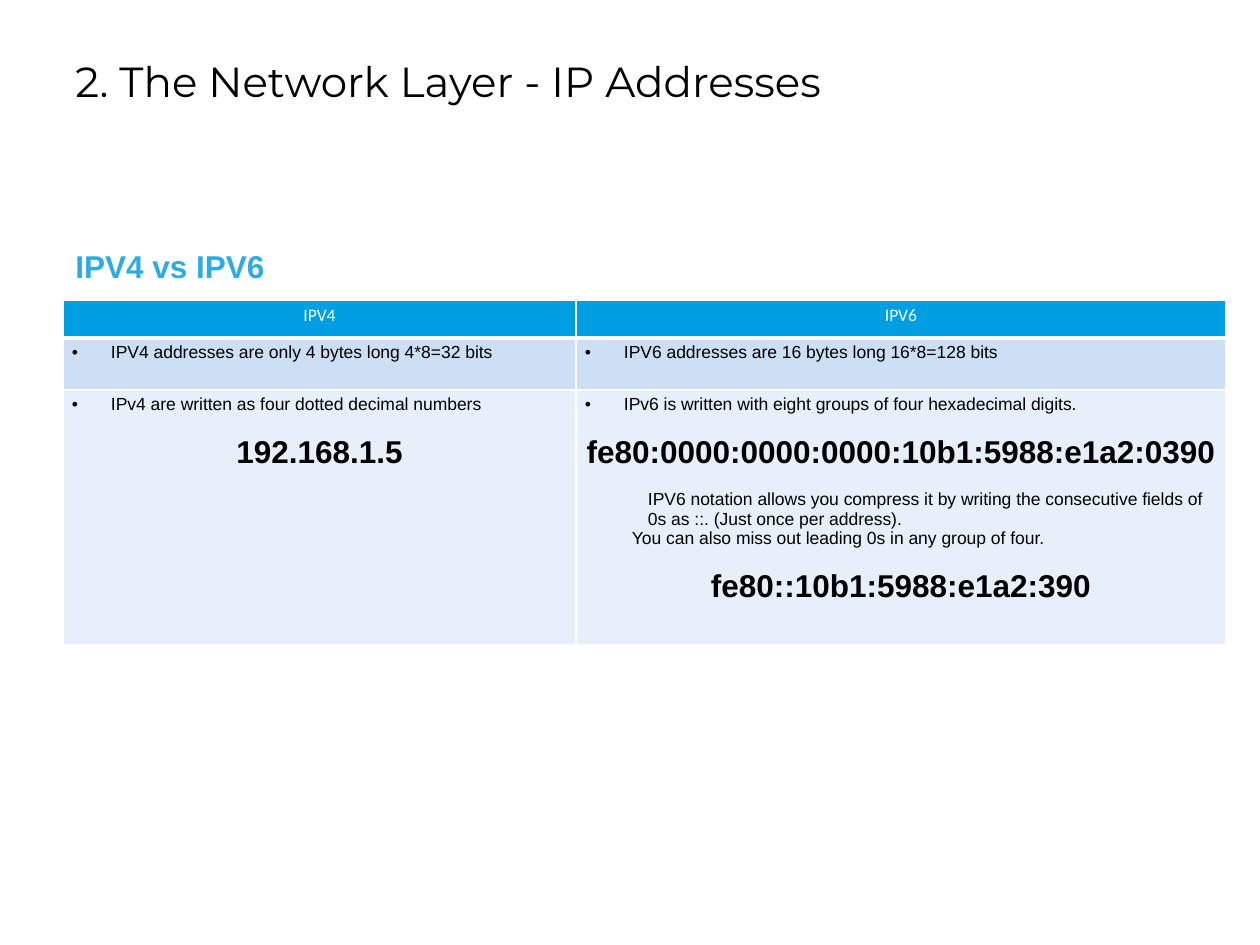
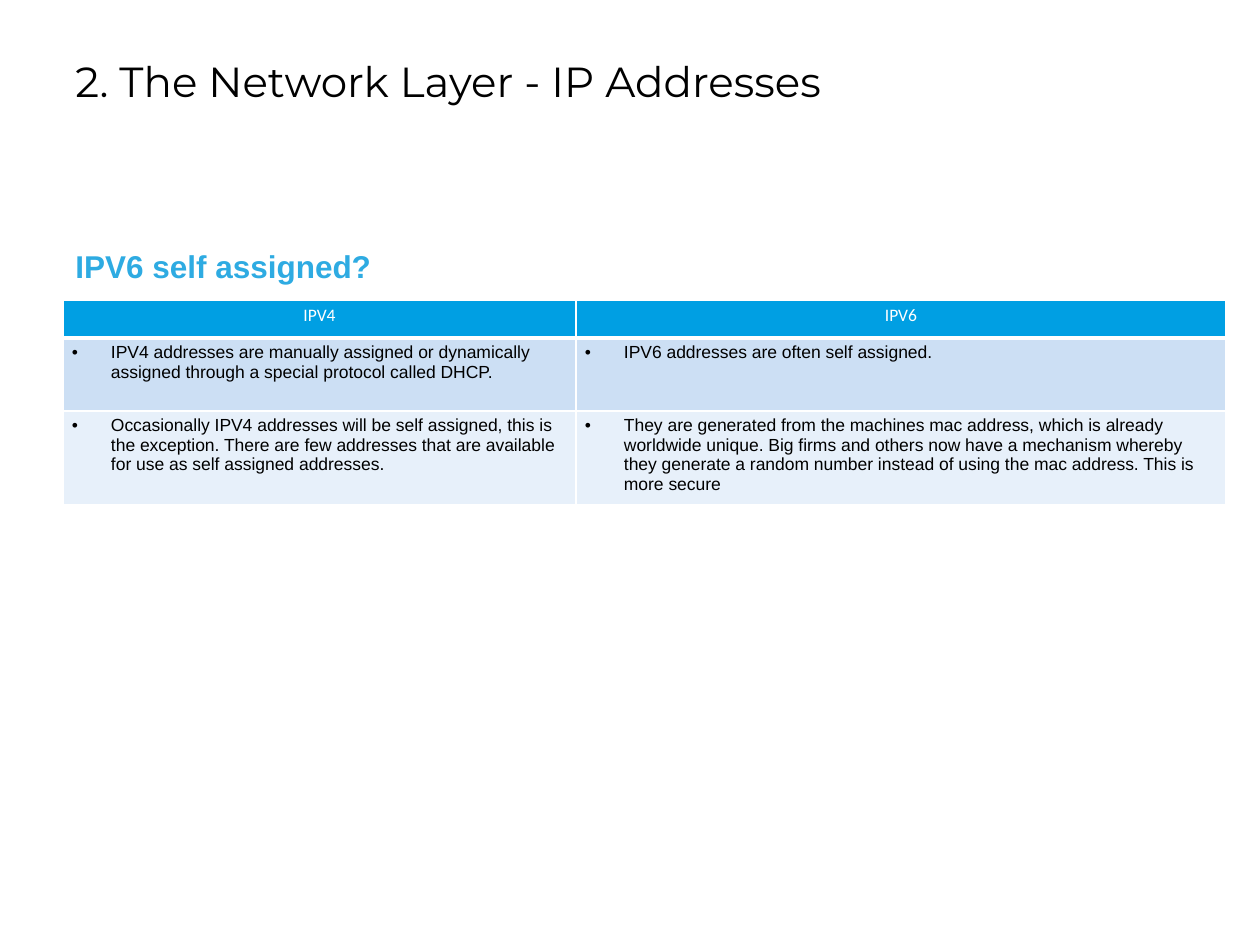
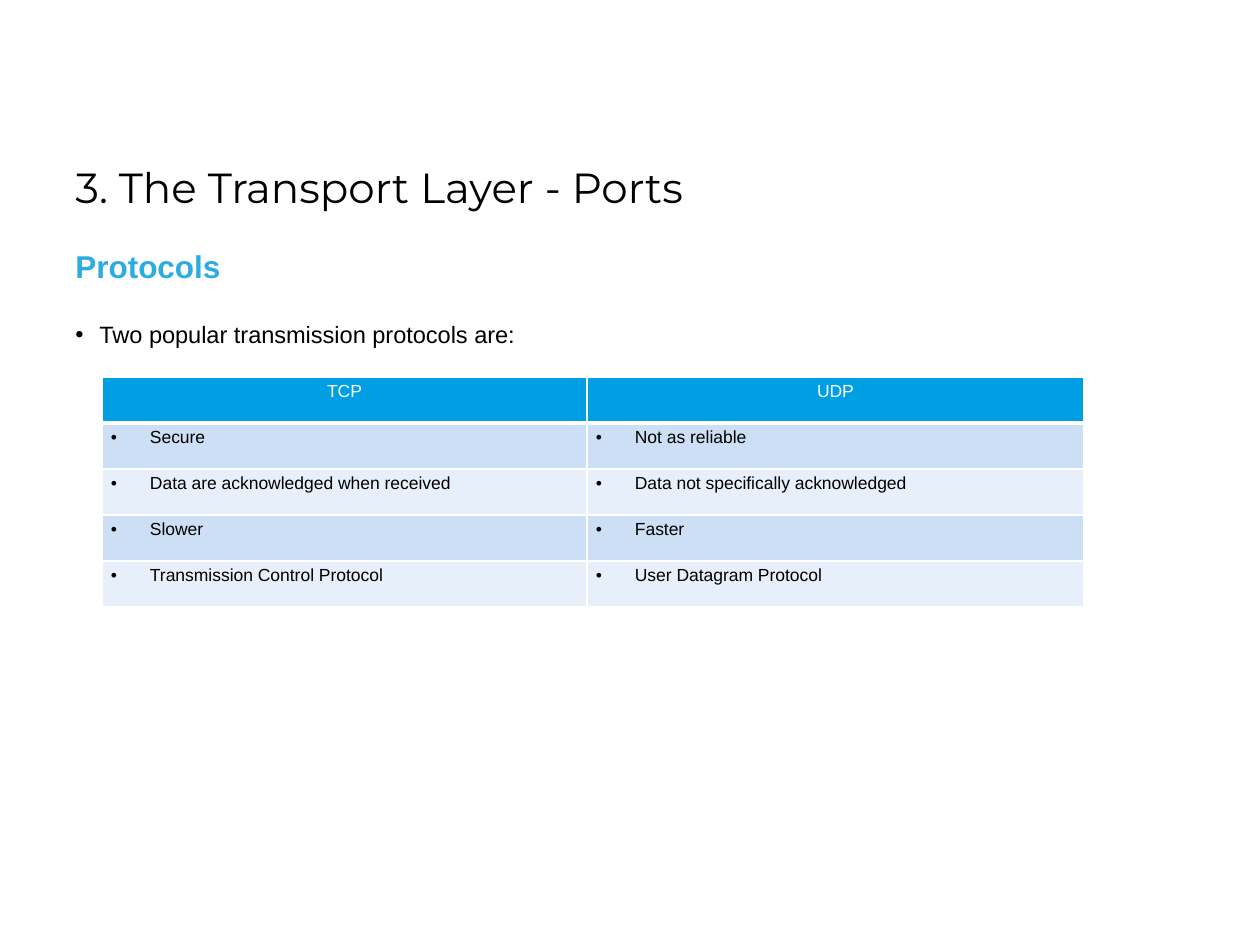
from pptx import Presentation
from pptx.dml.color import RGBColor as RGB
from pptx.enum.text import PP_ALIGN as ALIGN, MSO_AUTO_SIZE as AUTO
from pptx.oxml import parse_xml
from pptx.oxml.ns import nsdecls
from pptx.util import Pt

PX = 914400 // 126  # EMU per px

BLACK = RGB(0x00, 0x00, 0x00)
WHITE = RGB(0xFF, 0xFF, 0xFF)
HEADER_BLUE = RGB(0x00, 0x9F, 0xE3)
HEADING_BLUE = RGB(0x2E, 0xAB, 0xE2)
BANDS = [RGB(0xCC, 0xDF, 0xF4), RGB(0xE7, 0xF0, 0xFA)]

# Text styles: font attributes, paragraph attributes, left margin and indent in px
TITLE = {"font": {"name": "Montserrat", "size": Pt(24)}}
HEADING = {"font": {"name": "Arial", "size": Pt(18), "bold": True}, "color": HEADING_BLUE,
           "para": {"space_after": Pt(4.5)}}
INTRO = {"font": {"name": "Arial", "size": Pt(13.5)}, "para": {"space_after": Pt(4.5)},
         "indent": (24, -24), "bullet": "•"}
SMALL = {"name": "Arial", "size": Pt(10)}
GAP = Pt(11.5)
HEADER = {"font": SMALL, "color": WHITE, "para": {"alignment": ALIGN.CENTER}}
HEADER_IP = {**HEADER, "font": {"name": "Calibri", "size": Pt(10)}}
ITEM = {"font": SMALL, "indent": (39, -39), "bullet": "•"}
ADDRESS = {"font": {"name": "Arial", "size": Pt(18), "bold": True},
           "para": {"alignment": ALIGN.CENTER, "space_before": GAP}}
NOTE = {"font": SMALL, "indent": (63, 0), "para": {"space_before": GAP}}
NOTE_NEXT = {"font": SMALL, "indent": (47, 0)}

IP_TITLE = "2. The Network Layer - IP Addresses"
IP_TABLE = {"left": 63, "top": 300, "cols": [513, 650], "header": HEADER_IP}

SLIDES = [
    {
        "title": IP_TITLE, "title_top": 49, "heading": "IPV4 vs IPV6",
        "table": {**IP_TABLE, "rows": [38, 52, 255]},
        "cells": [
            ["IPV4", "IPV6"],
            ["IPV4 addresses are only 4 bytes long 4*8=32 bits",
             "IPV6 addresses are 16 bytes long 16*8=128 bits"],
            [[("IPv4 are written as four dotted decimal numbers", ITEM),
              ("192.168.1.5", ADDRESS)],
             [("IPv6 is written with eight groups of four hexadecimal digits.", ITEM),
              ("fe80:0000:0000:0000:10b1:5988:e1a2:0390", ADDRESS),
              ("IPV6 notation allows you compress it by writing the consecutive "
               "fields of 0s as ::. (Just once per address).", NOTE),
              ("You can also miss out leading 0s in any group of four.", NOTE_NEXT),
              ("fe80::10b1:5988:e1a2:390", ADDRESS)]],
        ],
    },
    {
        "title": IP_TITLE, "title_top": 49, "heading": "IPV6 self assigned?",
        "table": {**IP_TABLE, "rows": [38, 73, 94]},
        "cells": [
            ["IPV4", "IPV6"],
            ["IPV4 addresses are manually assigned or dynamically assigned through "
             "a special protocol called DHCP.",
             "IPV6 addresses are often self assigned."],
            ["Occasionally IPV4 addresses will be self assigned, this is the exception. "
             "There are few addresses that are available for use as self assigned addresses.",
             "They are generated from the machines mac address, which is already worldwide "
             "unique. Big firms and others now have a mechanism whereby they generate a random "
             "number instead of using the mac address. This is more secure"],
        ],
    },
    {
        "title": "3. The Transport Layer - Ports", "title_top": 155, "heading": "Protocols",
        "intro": "Two popular transmission protocols are:",
        "table": {"left": 102, "top": 377, "cols": [485, 497], "rows": [46] * 5,
                  "header": HEADER},
        "cells": [
            ["TCP", "UDP"],
            ["Secure", "Not as reliable"],
            ["Data are acknowledged when received", "Data not specifically acknowledged"],
            ["Slower", "Faster"],
            ["Transmission Control Protocol", "User Datagram Protocol"],
        ],
    },
]


def write(p, text, style):
    """Fill a paragraph with one run in the given style."""
    for key, value in style.get("para", {}).items():
        setattr(p, key, value)
    pPr = p._p.get_or_add_pPr()
    if "indent" in style:
        for key, px in zip(("marL", "indent"), style["indent"]):
            pPr.set(key, str(px * PX))
    if "bullet" in style:
        pPr.append(parse_xml(f'<a:buFont {nsdecls("a")} typeface="Arial"/>'))
        pPr.append(parse_xml(f'<a:buChar {nsdecls("a")} char="{style["bullet"]}"/>'))
    r = p.add_run()
    r.text = text
    for key, value in style["font"].items():
        setattr(r.font, key, value)
    r.font.color.rgb = style.get("color", BLACK)


def add_line(s, top, width, height, text, style):
    """Add a text box at the shared left margin."""
    tf = s.shapes.add_textbox(63 * PX, top * PX, width * PX, height * PX).text_frame
    tf.word_wrap = True
    tf.auto_size = AUTO.SHAPE_TO_FIT_TEXT
    write(tf.paragraphs[0], text, style)


prs = Presentation()
prs.slide_width, prs.slide_height = 1260 * PX, 945 * PX

for data in SLIDES:
    s = prs.slides.add_slide(prs.slide_layouts[6])

    # Title, heading and optional lead-in
    add_line(s, data["title_top"], 1137, 63, data["title"], TITLE)
    add_line(s, 241, 1137, 50, data["heading"], HEADING)
    if "intro" in data:
        add_line(s, 314, 1070, 68, data["intro"], INTRO)

    # Comparison table
    spec_ = data["table"]
    cols, rows = spec_["cols"], spec_["rows"]
    table = s.shapes.add_table(len(rows), len(cols), spec_["left"] * PX, spec_["top"] * PX,
                               sum(cols) * PX, sum(rows) * PX).table
    table.first_row = table.horz_banding = False
    for col, width in zip(table.columns, cols):
        col.width = width * PX
    for i, (row, height) in enumerate(zip(table.rows, rows)):
        row.height = height * PX
        for cell, content in zip(row.cells, data["cells"][i]):
            cell.margin_left = cell.margin_right = 9 * PX
            cell.margin_top = cell.margin_bottom = 5 * PX

            # White borders, thicker under the header
            for side in "LRTB":
                width = Pt(3 if i == 0 and side == "B" else 1)
                cell._tc.get_or_add_tcPr().append(parse_xml(
                    f'<a:ln{side} {nsdecls("a")} w="{width}"><a:solidFill>'
                    f'<a:srgbClr val="{WHITE}"/></a:solidFill></a:ln{side}>'))
            cell.fill.solid()
            cell.fill.fore_color.rgb = BANDS[(i - 1) % 2] if i else HEADER_BLUE

            # Plain strings take the row's usual style
            if isinstance(content, str):
                content = [(content, ITEM if i else spec_["header"])]
            tf = cell.text_frame
            for n, (text, style) in enumerate(content):
                write(tf.add_paragraph() if n else tf.paragraphs[0], text, style)

prs.save("out.pptx")
